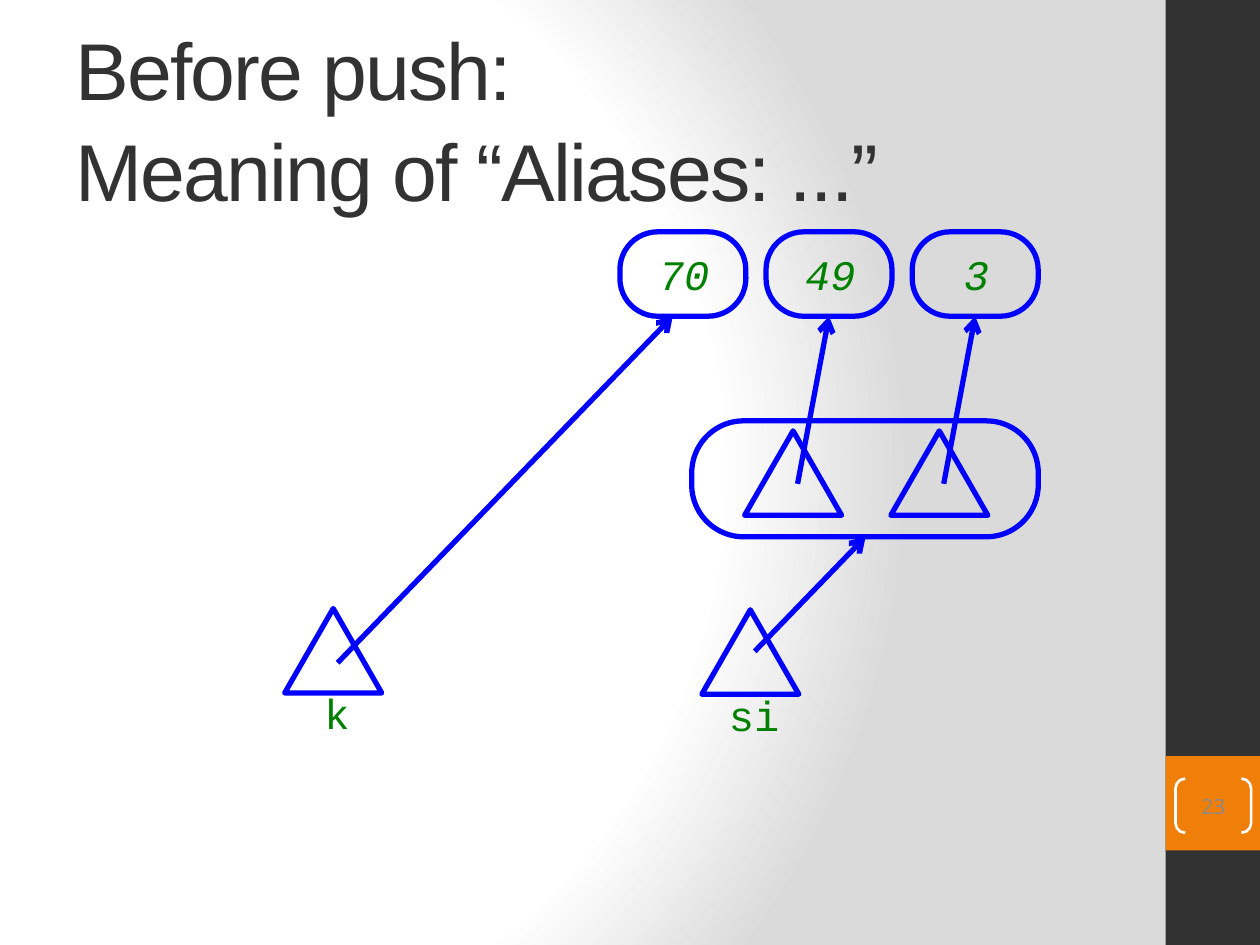
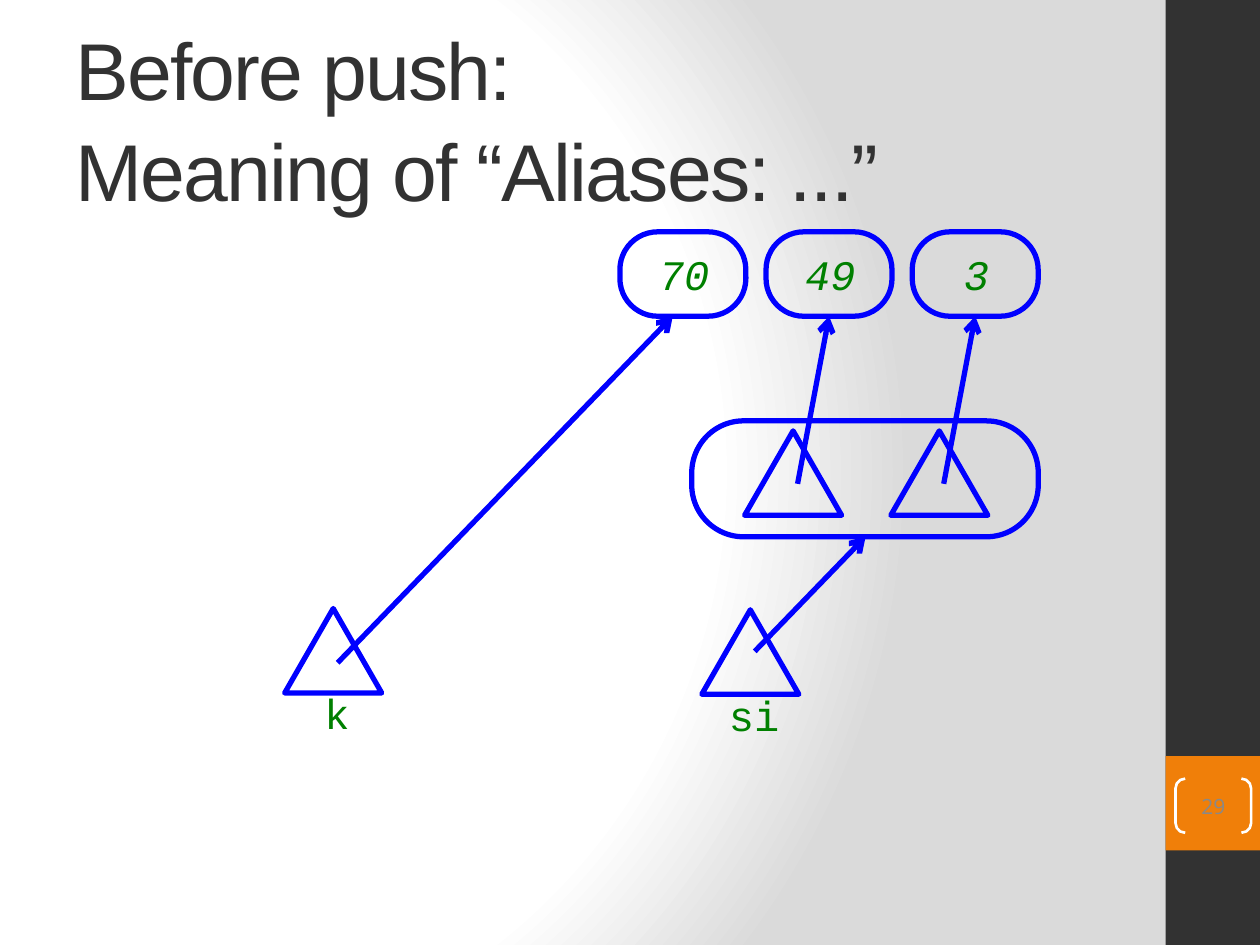
from dataclasses import dataclass

from lxml import etree
from pptx import Presentation
from pptx import util as u
from pptx.dml.color import RGBColor
from pptx.enum import shapes as kinds, text as styles
from pptx.oxml import ns


@dataclass(frozen=True)
class Theme:
    """Colours, fonts and type sizes of the deck."""
    dark: str = "323232"
    accent: str = "F07F09"
    white: str = "FFFFFF"
    backdrop: str = "DADADA"
    muted: str = "898989"
    diagram: str = "0000FF"
    code: str = "008000"
    title_font: str = "Arial"
    code_font: str = "Courier New"
    number_font: str = "Open Sans"
    title_size: int = 46
    code_size: int = 24
    number_size: int = 12
    diagram_line: float = 3
    bracket_line: float = 1.5


THEME = Theme()
TITLE = "Before push: \vMeaning of “Aliases: ...”"
PAGE_NUMBERS = (23, 29)
VALUES = ("70", "49", "3")
VALUE_LEFT, VALUE_TOP, VALUE_HEIGHT = 4.92, 1.84, 0.67
PITCH = 1.16
ROUNDING = 0.448


def box(left, top, width, height):
    """Return a position and size in inches."""
    return [u.Inches(n) for n in (left, top, width, height)]


def child(parent, tag, **attributes):
    """Append a drawing element to its parent."""
    return etree.SubElement(parent, ns.qn(tag), **attributes)


def paint_background(master):
    """Give every slide the radial white-to-grey backdrop."""
    fill = master.background.fill
    fill.gradient()
    gradient = master.background._cSld.find(".//" + ns.qn("a:gradFill"))
    for part in list(gradient):
        gradient.remove(part)
    stops = child(gradient, "a:gsLst")
    for percent, color in ((0, THEME.white), (75, THEME.white), (100, THEME.backdrop)):
        stop = child(stops, "a:gs", pos=str(percent * 1000))
        child(stop, "a:srgbClr", val=color)
    circle = child(gradient, "a:path", path="circle")
    child(circle, "a:fillToRect", l="20000", t="50000", r="100000", b="50000")


def add_band(shapes, top, height, color):
    """Add a solid block on the right edge."""
    band = shapes.add_shape(kinds.MSO_SHAPE.RECTANGLE, *box(9.25, top, 0.75, height))
    band.shadow.inherit = False
    band.fill.solid()
    band.fill.fore_color.rgb = RGBColor.from_string(color)
    band.line.fill.background()


def add_outline(shapes, preset, place, color=THEME.diagram,
                weight=THEME.diagram_line, rounding=None):
    """Add an unfilled preset shape."""
    outline = shapes.add_shape(preset, *box(*place))
    outline.shadow.inherit = False
    outline.fill.background()
    outline.line.color.rgb = RGBColor.from_string(color)
    outline.line.width = u.Pt(weight)
    if rounding is not None:
        outline.adjustments[0] = rounding
    return outline


def write(frame, words, font_name, size, color, align=styles.PP_ALIGN.CENTER,
          anchor=styles.MSO_ANCHOR.MIDDLE, italic=False):
    """Fill a text frame with one styled paragraph."""
    frame.word_wrap = True
    frame.vertical_anchor = anchor
    paragraph = frame.paragraphs[0]
    paragraph.text = words
    paragraph.alignment = align
    font = paragraph.font
    font.name, font.size, font.italic = font_name, u.Pt(size), italic
    font.color.rgb = RGBColor.from_string(color)
    return paragraph


def add_title(shapes):
    """Add the slide title."""
    title = shapes.add_textbox(*box(0.5, 0.3, 8.33, 1.25))
    heading = write(title.text_frame, TITLE, THEME.title_font, THEME.title_size,
                    THEME.dark, styles.PP_ALIGN.LEFT)
    heading.line_spacing = 1.05
    for run in heading.runs:
        run.font._element.set("spc", "-100")


def add_page_number(shapes, number):
    """Add the bracketed page number."""
    bracket = add_outline(shapes, kinds.MSO_SHAPE.DOUBLE_BRACKET, (9.33, 6.18, 0.6, 0.43),
                          THEME.white, THEME.bracket_line, 0.179)
    frame = bracket.text_frame
    frame.margin_left = frame.margin_right = frame.margin_top = frame.margin_bottom = 0
    write(frame, str(number), THEME.number_font, THEME.number_size, THEME.muted)


def add_code(shapes, words, place, **style):
    """Add a text in the code style."""
    code = shapes.add_textbox(*box(*place))
    write(code.text_frame, words, THEME.code_font, THEME.code_size, THEME.code, **style)


def add_value(shapes, words, left):
    """Add an object value in its capsule."""
    value = shapes.add_group_shape().shapes
    add_outline(value, kinds.MSO_SHAPE.ROUNDED_RECTANGLE,
                (left, VALUE_TOP, 1, VALUE_HEIGHT), rounding=ROUNDING)
    add_code(value, words, (left + 0.04, 1.92, 0.94, 0.5), italic=True)


def add_reference(shapes, left, top, target, drop=0.42):
    """Add a reference triangle with an arrow to its target."""
    add_outline(shapes, kinds.MSO_SHAPE.ISOSCELES_TRIANGLE, (left, top, 0.77, 0.67))
    ends = [u.Inches(n) for n in (left + 0.42, top + drop, *target)]
    arrow = shapes.add_connector(kinds.MSO_CONNECTOR.STRAIGHT, *ends)
    arrow.line.color.rgb = RGBColor.from_string(THEME.diagram)
    arrow.line.width = u.Pt(THEME.diagram_line)
    child(arrow.line._get_or_add_ln(), "a:tailEnd", type="arrow")
    child(arrow._element.spPr, "a:effectLst")


def add_variable(shapes, name, left, top, target, drop):
    """Add a named variable and its reference."""
    add_code(shapes, name, (left - 0.25, top + 0.58, 1.33, 0.51),
             anchor=styles.MSO_ANCHOR.TOP)
    add_reference(shapes, left, top, target, drop)


def draw_heap(shapes):
    """Draw the variables, the array and the values they refer to."""
    value_bottom = VALUE_TOP + VALUE_HEIGHT
    add_variable(shapes, "si", 5.57, 4.84, (6.87, 4.26), 0.33)
    add_outline(shapes, kinds.MSO_SHAPE.ROUNDED_RECTANGLE, (5.49, 3.34, 2.75, 0.92),
                rounding=ROUNDING)
    for slot, value in enumerate(VALUES):
        left = VALUE_LEFT + slot * PITCH
        if slot > 0:
            add_reference(shapes, left - 0.17, 3.42, (left + 0.5, value_bottom))
        add_value(shapes, value, left)
    add_variable(shapes, "k", 2.26, 4.83, (5.34, value_bottom), 0.43)


def main():
    """Build and save the deck."""
    deck = Presentation()
    deck.slide_width, deck.slide_height = u.Inches(10), u.Inches(7.5)
    paint_background(deck.slide_master)
    for number in PAGE_NUMBERS:
        shapes = deck.slides.add_slide(deck.slide_layouts[6]).shapes
        add_band(shapes, 0, 7.5, THEME.dark)
        add_band(shapes, 6, 0.75, THEME.accent)
        add_title(shapes)
        add_page_number(shapes, number)
        draw_heap(shapes)
    deck.save("out.pptx")


if __name__ == "__main__":
    main()
